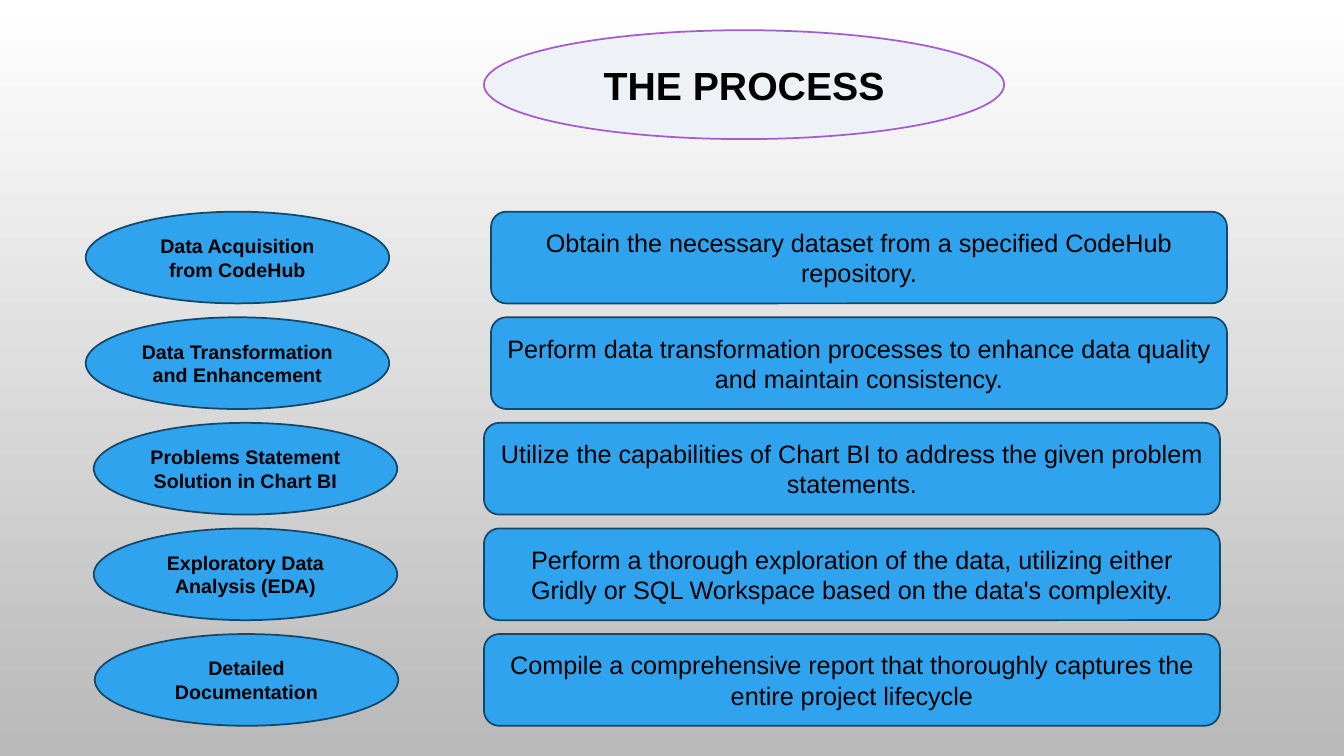
import pptx
import pptx.dml.color
import pptx.enum.shapes
import pptx.enum.text
import pptx.util

Inches = pptx.util.Inches
RGBColor = pptx.dml.color.RGBColor
SHAPE = pptx.enum.shapes.MSO_SHAPE

WHITE = RGBColor(0xFF, 0xFF, 0xFF)
GREY = RGBColor(0xB9, 0xB9, 0xB9)
BLACK = RGBColor(0x00, 0x00, 0x00)
BLUE = RGBColor(0x2F, 0xA3, 0xEE)
NAVY = RGBColor(0x15, 0x47, 0x68)
PALE = RGBColor(0xEE, 0xF2, 0xF7)
PURPLE = RGBColor(0xA3, 0x5D, 0xD1)

TITLE_FONT = {"size": pptx.util.Pt(28), "bold": True}
STEP_FONT = {"size": pptx.util.Pt(14), "bold": True}
DETAIL_FONT = {"size": pptx.util.Pt(18), "bold": False}

ROW_PITCH = 1.0475
ROW_HEIGHT = 0.91
STEP_WIDTH = 3.01
DETAIL_WIDTH = 7.3

# Step name, its left edge, description, its left edge
STEPS = [
    ("Data Acquisition from CodeHub", 0.85,
     "Obtain the necessary dataset from a specified CodeHub repository.", 4.87),
    ("Data Transformation and Enhancement", 0.85,
     "Perform data transformation processes to enhance data quality "
     "and maintain consistency.", 4.87),
    ("Problems Statement Solution in Chart BI", 0.93,
     "Utilize the capabilities of Chart BI to address the given "
     "problem statements.", 4.8),
    ("Exploratory Data Analysis (EDA)", 0.93,
     "Perform a thorough exploration of the data, utilizing either "
     "Gridly or SQL Workspace based on the data's complexity.", 4.8),
    ("Detailed Documentation", 0.94,
     "Compile a comprehensive report that thoroughly captures the "
     "entire project lifecycle", 4.8),
]


def add_label(page, kind, box, text, font, fill=BLUE, outline=NAVY):
    """Add a filled, outlined shape with centred text."""
    shape = page.shapes.add_shape(kind, *(Inches(length) for length in box))
    shape.shadow.inherit = False
    shape.fill.solid()
    shape.fill.fore_color.rgb = fill
    shape.line.color.rgb = outline
    shape.line.width = pptx.util.Pt(1.25)

    frame = shape.text_frame
    frame.word_wrap = True
    frame.vertical_anchor = pptx.enum.text.MSO_ANCHOR.MIDDLE
    para = frame.paragraphs[0]
    para.alignment = pptx.enum.text.PP_ALIGN.CENTER
    span = para.add_run()
    span.text = text
    span.font.name = "Arial"
    span.font.color.rgb = BLACK
    for name, value in font.items():
        setattr(span.font, name, value)


def paint_background(page):
    """Fade the page from white at the top to grey at the bottom."""
    fill = page.background.fill
    fill.gradient()
    fill.gradient_angle = 270
    for stop, color, position in zip(fill.gradient_stops, (WHITE, GREY), (0, 1)):
        stop.color.rgb = color
        stop.position = position


def add_title(page, box):
    add_label(page, SHAPE.OVAL, box, "THE PROCESS", TITLE_FONT, PALE, PURPLE)


def add_steps(page, top):
    """Place one row per step, a name on the left and its detail on the right."""
    for row, (step, step_left, detail, detail_left) in enumerate(STEPS):
        y = top + row * ROW_PITCH
        add_label(page, SHAPE.OVAL, (step_left, y, STEP_WIDTH, ROW_HEIGHT),
                  step, STEP_FONT)
        add_label(page, SHAPE.ROUNDED_RECTANGLE,
                  (detail_left, y, DETAIL_WIDTH, ROW_HEIGHT), detail, DETAIL_FONT)


def main():
    deck = pptx.Presentation()
    deck.slide_width = Inches(13.33)
    deck.slide_height = Inches(7.5)
    page = deck.slides.add_slide(deck.slide_layouts[6])
    paint_background(page)
    add_title(page, (4.8, 0.3, 5.16, 1.08))
    add_steps(page, 2.1)
    deck.save("out.pptx")


if __name__ == "__main__":
    main()
